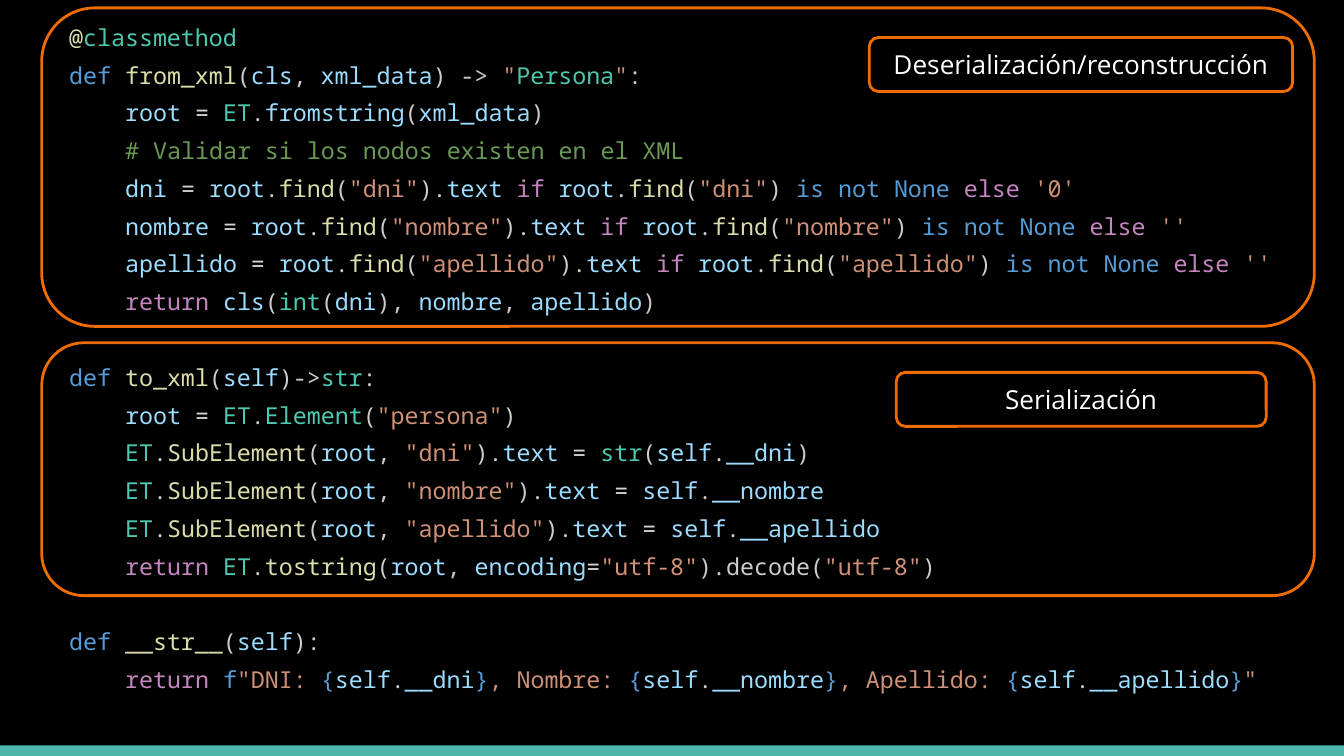
"""Builds a slide of highlighted Python code that deserializes and serializes XML."""
import pptx
import pptx.dml.color
import pptx.enum.shapes
import pptx.enum.text
import pptx.util
from pptx.dml.color import RGBColor
from pptx.util import Cm

BLACK = RGBColor(0x00, 0x00, 0x00)
WHITE = RGBColor(0xFF, 0xFF, 0xFF)
TEAL = RGBColor(0x4D, 0xB6, 0xAC)
ORANGE = RGBColor(0xEF, 0x6C, 0x00)
SYNTAX = {
    "p": RGBColor(0xCC, 0xCC, 0xCC),
    "o": RGBColor(0xD4, 0xD4, 0xD4),
    "f": RGBColor(0xDC, 0xDC, 0xAA),
    "t": RGBColor(0x4E, 0xC9, 0xB0),
    "k": RGBColor(0x56, 0x9C, 0xD6),
    "v": RGBColor(0x9C, 0xDC, 0xFE),
    "s": RGBColor(0xCE, 0x91, 0x78),
    "c": RGBColor(0x6A, 0x99, 0x55),
    "r": RGBColor(0xC5, 0x86, 0xC0),
}


def find_line(name, default):
    node = f'~vroot~p.~ffind~p(~s"{name}"~p)'
    return f"~v{name} ~o= {node}~p.~vtext ~rif {node} ~kis not None ~relse ~s{default}"


def element_line(name, value):
    return f'~tET~p.~fSubElement~p(~vroot~p, ~s"{name}"~p).~vtext ~o= {value}'


def member(name):
    return f"~vself~p.~v__{name}"


def placeholder(name):
    return "~k{" + member(name) + "~k}"


METHODS = [
    (
        ["~f@~tclassmethod",
         '~kdef ~ffrom_xml~p(~vcls~p, ~vxml_data~p) -> ~s"~tPersona~s"~p:'],
        ["~vroot ~o= ~tET~p.~vfromstring~p(~vxml_data~p)",
         "~c# Validar si los nodos existen en el XML",
         find_line("dni", "'0'"),
         find_line("nombre", "''"),
         find_line("apellido", "''"),
         "~rreturn ~vcls~p(~tint~p(~vdni~p), ~vnombre~p, ~vapellido~p)"],
    ),
    (
        ["~kdef ~fto_xml~p(~vself~p)->~tstr~p:"],
        ['~vroot ~o= ~tET~p.~tElement~p(~s"persona"~p)',
         element_line("dni", f"~tstr~p({member('dni')}~p)"),
         element_line("nombre", member("nombre")),
         element_line("apellido", member("apellido")),
         '~rreturn ~tET~p.~ftostring~p(~vroot~p, ~vencoding~o=~s"utf-8"~p).decode(~s"utf-8"~p)'],
    ),
    (
        ["~kdef ~f__str__~p(~vself~p):"],
        [f'~rreturn ~kf~s"DNI: {placeholder("dni")}~s, Nombre: {placeholder("nombre")}'
         f'~s, Apellido: {placeholder("apellido")}~s"'],
    ),
]


class CodeSlide:
    code_font = "Noto Sans Mono"
    code_size = pptx.util.Pt(12.5)
    line_height = pptx.util.Pt(20.25)
    indent = pptx.util.Pt(30)
    label_font = "Open Sans"
    label_size = pptx.util.Pt(14)
    outline_width = pptx.util.Pt(1.5)
    margin = Cm(0.25)

    def __init__(self, presentation):
        self.slide = presentation.slides.add_slide(presentation.slide_layouts[6])

    def add_shape(self, kind, left, top, width, height):
        shape = self.slide.shapes.add_shape(kind, Cm(left), Cm(top), Cm(width), Cm(height))
        shape.shadow.inherit = False
        return shape

    def panel(self, left, top, width, height, colour):
        shape = self.add_shape(pptx.enum.shapes.MSO_SHAPE.RECTANGLE, left, top, width, height)
        shape.fill.solid()
        shape.fill.fore_color.rgb = colour
        shape.line.fill.background()
        return shape

    def frame(self, left, top, width, height):
        shape = self.add_shape(
            pptx.enum.shapes.MSO_SHAPE.ROUNDED_RECTANGLE, left, top, width, height)
        shape.fill.background()
        shape.line.color.rgb = ORANGE
        shape.line.width = self.outline_width
        return shape

    def label(self, left, top, width, height, text):
        text_frame = self.frame(left, top, width, height).text_frame
        text_frame.word_wrap = True
        text_frame.vertical_anchor = pptx.enum.text.MSO_ANCHOR.MIDDLE
        paragraph = text_frame.paragraphs[0]
        paragraph.text = text
        paragraph.alignment = pptx.enum.text.PP_ALIGN.CENTER
        paragraph.font.name = self.label_font
        paragraph.font.size = self.label_size
        paragraph.font.color.rgb = WHITE

    def code_line(self, paragraph, line, level):
        paragraph.alignment = pptx.enum.text.PP_ALIGN.LEFT
        paragraph.line_spacing = self.line_height
        paragraph.font.name = self.code_font
        paragraph.font.size = self.code_size
        paragraph._p.get_or_add_pPr().set("marL", str(level * self.indent))
        for token in line.split("~")[1:]:
            run = paragraph.add_run()
            run.text = token[1:]
            run.font.color.rgb = SYNTAX[token[0]]

    def code(self, left, top, width, height, methods):
        text_frame = self.panel(left, top, width, height, BLACK).text_frame
        text_frame.word_wrap = True
        text_frame.vertical_anchor = pptx.enum.text.MSO_ANCHOR.TOP
        text_frame.margin_left = text_frame.margin_right = self.margin
        text_frame.margin_top = text_frame.margin_bottom = self.margin
        paragraph = text_frame.paragraphs[0]
        for heading, body in methods:
            lines = [(line, 1) for line in heading] + [(line, 2) for line in body]
            for position, (line, level) in enumerate(lines):
                if paragraph.runs:
                    paragraph = text_frame.add_paragraph()
                    if position == 0:
                        paragraph.space_before = self.line_height
                self.code_line(paragraph, line, level)


def main():
    presentation = pptx.Presentation()
    presentation.slide_width = Cm(25.4)
    presentation.slide_height = Cm(14.29)
    code_slide = CodeSlide(presentation)
    code_slide.panel(0, 14.02, 25.4, 0.27, TEAL)
    code_slide.code(0, 0, 25.4, 14.09, METHODS)
    code_slide.frame(0.79, 0.15, 24.05, 6.02)
    code_slide.frame(0.79, 6.48, 24.05, 4.78)
    code_slide.label(16.94, 7.04, 6.99, 1.02, "Serialización")
    code_slide.label(16.43, 0.71, 8, 1.02, "Deserialización/reconstrucción")
    presentation.save("out.pptx")


if __name__ == "__main__":
    main()
